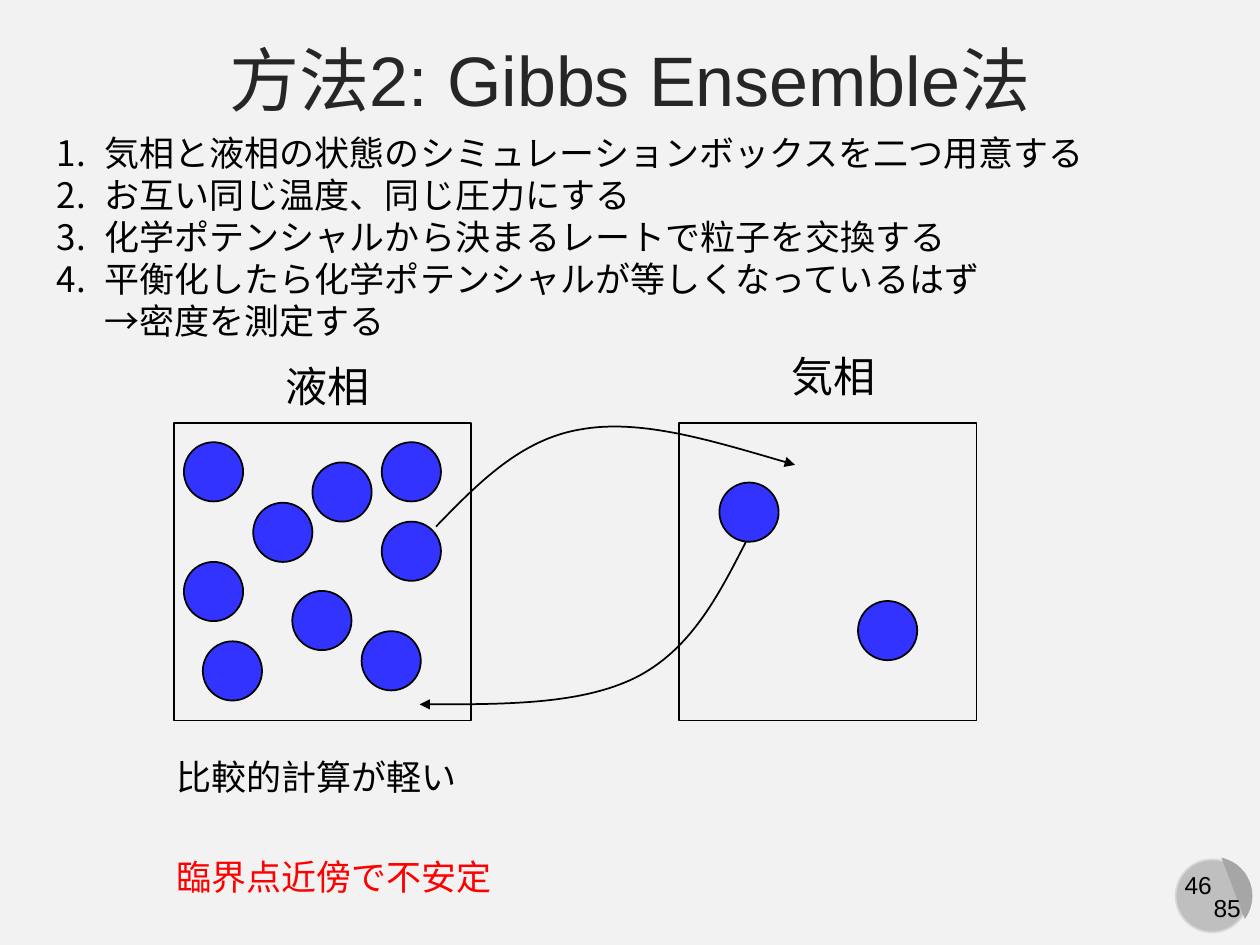
from dataclasses import dataclass

from lxml.etree import SubElement
from pptx import Presentation
from pptx.dml.color import RGBColor
from pptx.enum.shapes import MSO_SHAPE as Shape
from pptx.enum.text import MSO_ANCHOR as Anchor, MSO_AUTO_SIZE as AutoSize, PP_ALIGN as Align
from pptx.oxml.ns import qn
from pptx.util import Inches, Pt

BLACK = RGBColor(0x00, 0x00, 0x00)
RED = RGBColor(0xFF, 0x00, 0x00)
BLUE = RGBColor(0x33, 0x33, 0xFF)
TITLE_GRAY = RGBColor(0x26, 0x26, 0x26)
BACKGROUND = RGBColor(0xF2, 0xF2, 0xF2)
BADGE = RGBColor(0xBF, 0xBF, 0xBF)
BADGE_EDGE = RGBColor(0xD9, 0xD9, 0xD9)
BADGE_CHORD = RGBColor(0xA6, 0xA6, 0xA6)

FONT = "Arial"
BOX_SIZE = 2.36
BOX_TOP = 3.36
PARTICLE_SIZE = 0.47
HANGING_INDENT = 0.38


@dataclass
class Label:
    text: str
    left: float
    top: float
    width: float
    height: float
    size: int
    color: RGBColor = BLACK
    align: Align = Align.LEFT


@dataclass
class Phase:
    left: float
    particles: list[tuple[float, float]]


TITLE = Label("方法2: Gibbs Ensemble法", 0, 0.21, 10, 0.82, 40, TITLE_GRAY, Align.CENTER)
STEPS = [
    "気相と液相の状態のシミュレーションボックスを二つ用意する",
    "お互い同じ温度、同じ圧力にする",
    "化学ポテンシャルから決まるレートで粒子を交換する",
    "平衡化したら化学ポテンシャルが等しくなっているはず\n→密度を測定する",
]
LABELS = [
    Label("液相", 2.17, 2.81, 0.88, 0.5, 24),
    Label("気相", 6.18, 2.73, 0.88, 0.5, 24),
    Label("比較的計算が軽い", 1.3, 5.95, 2.45, 0.44, 20),
    Label("臨界点近傍で不安定", 1.3, 6.74, 2.73, 0.44, 20, RED),
]
PAGE_NUMBER = Label("46", 9.29, 6.86, 0.44, 0.34, 14, align=Align.CENTER)
PAGE_TOTAL = Label("85", 9.53, 7.04, 0.42, 0.34, 14, align=Align.CENTER)
LIQUID = Phase(1.38, [
    (1.46, 3.51), (2.48, 3.67), (1.46, 4.46), (2.32, 4.69), (2.01, 3.99),
    (3.03, 4.14), (2.87, 5.01), (1.61, 5.09), (3.03, 3.51),
])
GAS = Phase(5.39, [(5.71, 3.83), (6.81, 4.77)])
# Each arrow: a start point, then three Bezier points per curve
ARROWS = [
    [(3.46, 4.18), (3.79, 3.84), (4.13, 3.49), (4.6, 3.41),
     (5.08, 3.32), (5.69, 3.51), (6.31, 3.69)],
    [(5.92, 4.3), (5.7, 4.73), (5.48, 5.16), (5.04, 5.38),
     (4.61, 5.59), (3.97, 5.59), (3.33, 5.59)],
]


def place(shape, left: float, top: float, width: float, height: float) -> None:
    for name, value in dict(left=left, top=top, width=width, height=height).items():
        setattr(shape, name, Inches(value))


def format_paragraph(paragraph, size: int, color: RGBColor, align: Align) -> None:
    settings = dict(alignment=align, space_before=Pt(0), space_after=Pt(0), line_spacing=1.0)
    for name, value in settings.items():
        setattr(paragraph, name, value)
    for run in paragraph.runs:
        for name, value in dict(name=FONT, size=Pt(size)).items():
            setattr(run.font, name, value)
        run.font.color.rgb = color


def style_shape(shape, fill: RGBColor | None, line: RGBColor | None) -> None:
    shape.shadow.inherit = False
    if fill is None:
        shape.fill.background()
    else:
        shape.fill.solid()
        shape.fill.fore_color.rgb = fill
    if line is None:
        shape.line.fill.background()
    else:
        shape.line.color.rgb = line
        shape.line.width = Pt(1)


def add_shape(slide, kind: Shape, left: float, top: float, size: float,
              fill: RGBColor | None, line: RGBColor | None):
    shape = slide.shapes.add_shape(kind, *map(Inches, (left, top, size, size)))
    style_shape(shape, fill, line)
    return shape


def add_label(slide, label: Label) -> None:
    box = slide.shapes.add_textbox(
        *map(Inches, (label.left, label.top, label.width, label.height)))
    frame = box.text_frame
    frame.text = label.text
    frame.word_wrap = False
    frame.auto_size = AutoSize.SHAPE_TO_FIT_TEXT
    format_paragraph(frame.paragraphs[0], label.size, label.color, label.align)


def add_phase(slide, phase: Phase) -> None:
    add_shape(slide, Shape.RECTANGLE, phase.left, BOX_TOP, BOX_SIZE, None, BLACK)
    for left, top in phase.particles:
        add_shape(slide, Shape.OVAL, left, top, PARTICLE_SIZE, BLUE, BLACK)


def add_curved_arrow(slide, points: list[tuple[float, float]]) -> None:
    start, *controls = [(Inches(x), Inches(y)) for x, y in points]
    builder = slide.shapes.build_freeform(*start)
    builder.add_line_segments(controls, close=False)
    arrow = builder.convert_to_shape()
    style_shape(arrow, None, BLACK)

    # Turn each three line segments into one Bezier curve
    segments = list(arrow.element.iter(qn("a:lnTo")))
    outline = segments[0].getparent()
    for first in range(0, len(segments), 3):
        curve = SubElement(outline, qn("a:cubicBezTo"))
        for segment in segments[first:first + 3]:
            curve.append(segment[0])
            outline.remove(segment)
    SubElement(arrow.line._get_or_add_ln(), qn("a:tailEnd"), type="triangle")


def fill_title(shape, title: Label) -> None:
    place(shape, title.left, title.top, title.width, title.height)
    frame = shape.text_frame
    frame.text = title.text
    frame.auto_size = AutoSize.NONE
    frame.vertical_anchor = Anchor.MIDDLE
    format_paragraph(frame.paragraphs[0], title.size, title.color, title.align)


def fill_steps(shape, steps: list[str]) -> None:
    place(shape, 0.35, 0.99, 8.43, 1.78)
    frame = shape.text_frame
    frame.word_wrap = False
    frame.auto_size = AutoSize.SHAPE_TO_FIT_TEXT
    frame.vertical_anchor = Anchor.TOP
    for index, step in enumerate(steps):
        paragraph = frame.add_paragraph() if index else frame.paragraphs[0]
        paragraph.text = step
        format_paragraph(paragraph, 20, BLACK, Align.LEFT)
        properties = paragraph._p.get_or_add_pPr()
        properties.set("marL", str(Inches(HANGING_INDENT)))
        properties.set("indent", str(-Inches(HANGING_INDENT)))
        SubElement(properties, qn("a:buFont"), typeface="+mj-ea")
        SubElement(properties, qn("a:buAutoNum"), type="arabicPeriod")


def add_page_badge(slide) -> None:
    add_shape(slide, Shape.OVAL, 9.33, 6.82, 0.58, BADGE, BADGE_EDGE)
    chord = add_shape(slide, Shape.CHORD, 9.32, 6.8, 0.62, BADGE_CHORD, None)
    chord.rotation = 255
    for index, degrees in enumerate((27, 141.42)):
        chord.adjustments[index] = degrees * 0.6
    add_label(slide, PAGE_NUMBER)
    add_label(slide, PAGE_TOTAL)


def main() -> None:
    presentation = Presentation()
    presentation.slide_width = Inches(10)
    presentation.slide_height = Inches(7.5)
    slide = presentation.slides.add_slide(presentation.slide_layouts[1])
    slide.background.fill.solid()
    slide.background.fill.fore_color.rgb = BACKGROUND

    # Title and numbered steps
    fill_title(slide.shapes.title, TITLE)
    fill_steps(slide.placeholders[1], STEPS)

    # Two simulation boxes exchanging particles
    for phase in (LIQUID, GAS):
        add_phase(slide, phase)
    for points in ARROWS:
        add_curved_arrow(slide, points)
    for label in LABELS:
        add_label(slide, label)

    add_page_badge(slide)
    presentation.save("out.pptx")


if __name__ == "__main__":
    main()
